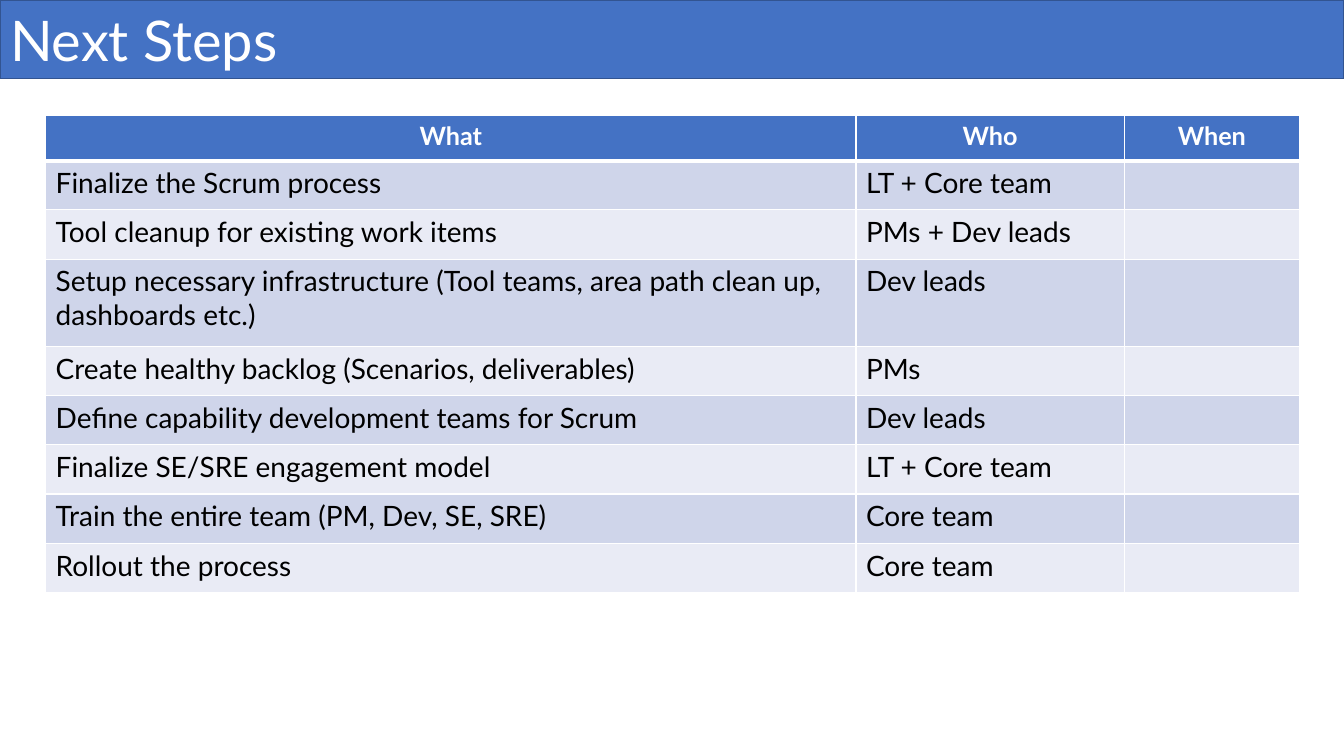
from lxml.etree import SubElement
from pptx import Presentation
from pptx.dml.color import RGBColor
from pptx.enum.text import MSO_ANCHOR, PP_ALIGN
from pptx.oxml.ns import qn
from pptx.util import Cm, Pt

TITLE = "Next Steps"
HEADERS = ("What", "Who", "When")
STEPS = [
    ("Finalize the Scrum process", "LT + Core team", ""),
    ("Tool cleanup for existing work items", "PMs + Dev leads", ""),
    ("Setup necessary infrastructure (Tool teams, area path clean up, dashboards etc.)",
     "Dev leads", ""),
    ("Create healthy backlog (Scenarios, deliverables)", "PMs", ""),
    ("Define capability development teams for Scrum", "Dev leads", ""),
    ("Finalize SE/SRE engagement model", "LT + Core team", ""),
    ("Train the entire team (PM, Dev, SE, SRE)", "Core team", ""),
    ("Rollout the process", "Core team", ""),
]
FONT = "Lato"
BLUE, WHITE, BLACK = "4472C4", "FFFFFF", "000000"
BANDS = ("CFD5EA", "E9EBF5")
COLUMN_WIDTHS = (20.42, 6.76, 4.42)
HEADER_HEIGHT, ROW_HEIGHT, TALL_ROW_HEIGHT = 1.13, 1.24, 2.2
TALL_ROW = 3


def color(value):
    return RGBColor.from_string(value)


def paint(target, value):
    target.fill.solid()
    target.fill.fore_color.rgb = color(value)


def format_text(paragraph, size, value, alignment, bold=False):
    paragraph.alignment = alignment
    font = paragraph.font
    if paragraph.runs:
        font = paragraph.runs[0].font
    font.name, font.size, font.bold = FONT, Pt(size), bold
    font.color.rgb = color(value)


def add_borders(cell, widths):
    """Draw white cell borders; widths maps an XML side tag to points."""
    properties = cell._tc.get_or_add_tcPr()
    for side, width in widths.items():
        line = SubElement(properties, qn(f"a:{side}"), w=str(Pt(width)))
        fill = SubElement(line, qn("a:solidFill"))
        SubElement(fill, qn("a:srgbClr"), val=WHITE)


def add_title(slide, width):
    title = slide.shapes.title
    title.left, title.top, title.width, title.height = 0, 0, width, Cm(1.98)
    paint(title, BLUE)
    title.line.color.rgb = color("325491")
    title.line.width = Pt(1)
    title.text_frame.text = TITLE
    title.text_frame.vertical_anchor = MSO_ANCHOR.MIDDLE
    format_text(title.text_frame.paragraphs[0], 40, WHITE, PP_ALIGN.LEFT)


def add_steps_table(slide):
    rows = [HEADERS, *STEPS]
    heights = [HEADER_HEIGHT] + [ROW_HEIGHT] * len(STEPS)
    heights[TALL_ROW] = TALL_ROW_HEIGHT
    table = slide.shapes.add_table(
        len(rows), len(HEADERS), Cm(1.15), Cm(2.92),
        Cm(sum(COLUMN_WIDTHS)), Cm(sum(heights))).table
    for column, width in zip(table.columns, COLUMN_WIDTHS):
        column.width = Cm(width)
    for row_index, texts in enumerate(rows):
        table.rows[row_index].height = Cm(heights[row_index])
        is_header = row_index == 0
        for column_index, text in enumerate(texts):
            cell = table.cell(row_index, column_index)
            add_borders(cell, {"lnL": 1, "lnR": 1,
                               "lnT": 3 if row_index == 1 else 1,
                               "lnB": 3 if is_header else 1})
            paint(cell, BLUE if is_header else BANDS[(row_index - 1) % 2])
            cell.text_frame.text = text
            paragraph = cell.text_frame.paragraphs[0]
            if is_header:
                format_text(paragraph, 18, WHITE, PP_ALIGN.CENTER, bold=True)
            else:
                format_text(paragraph, 20, BLACK, PP_ALIGN.LEFT)


def main():
    presentation = Presentation()
    presentation.slide_width, presentation.slide_height = Cm(33.87), Cm(19.05)
    slide = presentation.slides.add_slide(presentation.slide_layouts[5])
    add_title(slide, presentation.slide_width)
    add_steps_table(slide)
    presentation.save("out.pptx")


if __name__ == "__main__":
    main()
